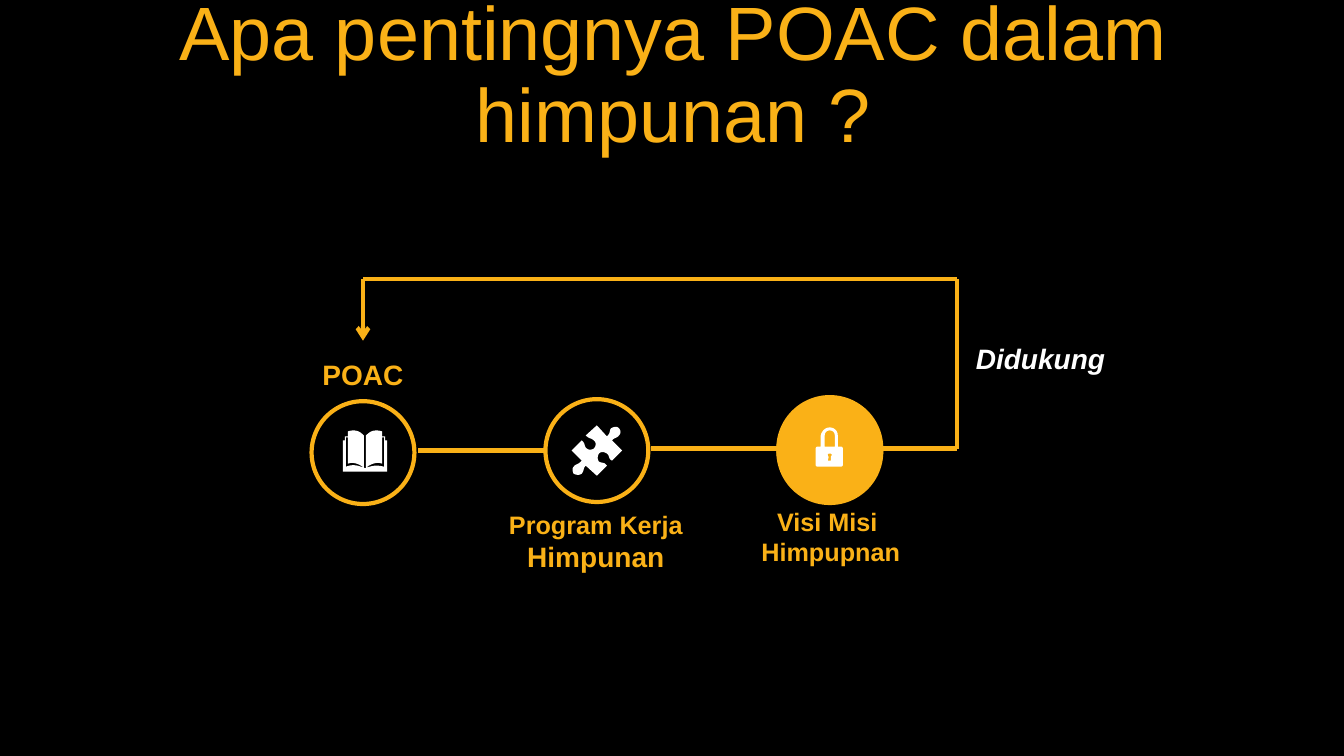
from pptx import Presentation
from pptx.dml.color import RGBColor
from pptx.enum.shapes import MSO_CONNECTOR, MSO_SHAPE
from pptx.enum.text import MSO_ANCHOR, PP_ALIGN
from pptx.oxml.ns import qn
from pptx.util import Inches, Pt
from lxml.etree import SubElement

COLORS = {"back": "000000", "gold": "FAB117", "white": "FFFFFF"}
STEPS = 6

PUZZLE = """M 6.14 4.25 C 6.16 4.27 6.16 4.3 6.14 4.32 C 6.12 4.35 6.09 4.34 6.07 4.37
L 6.17 4.47 L 6.07 4.57 C 6.03 4.55 6.05 4.52 6.02 4.5 C 5.99 4.48 5.96 4.48 5.94 4.5
C 5.93 4.52 5.92 4.55 5.94 4.58 C 5.98 4.6 5.99 4.58 6.02 4.62 L 5.92 4.72 L 5.81 4.62
C 5.78 4.65 5.8 4.66 5.77 4.7 C 5.74 4.72 5.71 4.71 5.69 4.7 C 5.68 4.68 5.67 4.65 5.69 4.63
C 5.71 4.6 5.74 4.61 5.77 4.57 L 5.67 4.47 L 5.77 4.37 C 5.81 4.4 5.79 4.43 5.82 4.45
C 5.84 4.47 5.88 4.46 5.89 4.45 C 5.91 4.43 5.92 4.39 5.89 4.37 C 5.86 4.34 5.85 4.36 5.81 4.32
L 5.92 4.22 L 6.02 4.33 C 6.06 4.29 6.04 4.28 6.06 4.25 C 6.09 4.23 6.13 4.23 6.14 4.25"""

BOOK = """M 3.61 4.64 C 3.61 4.64 3.63 4.65 3.63 4.64 C 3.7 4.62 3.73 4.61 3.81 4.63
L 3.81 4.34 L 3.79 4.34 L 3.79 4.6 C 3.74 4.58 3.68 4.6 3.63 4.64 L 3.63 4.32
C 3.66 4.29 3.69 4.27 3.73 4.27 C 3.74 4.27 3.76 4.27 3.79 4.28 L 3.79 4.33 L 3.82 4.33
L 3.82 4.37 L 3.84 4.37 L 3.84 4.68 L 3.4 4.68 L 3.4 4.37 L 3.42 4.37 L 3.42 4.33 L 3.45 4.33
L 3.45 4.28 C 3.48 4.27 3.5 4.27 3.51 4.27 C 3.55 4.27 3.58 4.29 3.61 4.32 L 3.61 4.64
C 3.56 4.6 3.5 4.58 3.45 4.6 L 3.45 4.34 L 3.43 4.34 L 3.43 4.63 C 3.51 4.6 3.55 4.62 3.61 4.64"""

LOCK = """M 8.23 4.5 C 8.22 4.5 8.21 4.5 8.21 4.51 C 8.21 4.52 8.21 4.53 8.22 4.53
L 8.21 4.57 L 8.24 4.57 L 8.24 4.53 C 8.24 4.53 8.25 4.52 8.25 4.51 C 8.25 4.5 8.24 4.5 8.23 4.5
M 8.23 4.27 C 8.2 4.27 8.18 4.29 8.18 4.32 L 8.18 4.43 L 8.28 4.43 L 8.28 4.32
C 8.28 4.29 8.26 4.27 8.23 4.27
M 8.23 4.24 C 8.27 4.24 8.31 4.27 8.31 4.32 L 8.31 4.43 L 8.34 4.43 C 8.35 4.43 8.36 4.44 8.36 4.45
L 8.36 4.61 C 8.36 4.62 8.35 4.63 8.34 4.63 L 8.11 4.63 C 8.1 4.63 8.09 4.62 8.09 4.61 L 8.09 4.45
C 8.09 4.44 8.1 4.43 8.11 4.43 L 8.14 4.43 L 8.14 4.32 C 8.15 4.28 8.18 4.24 8.23 4.24"""


def color(name):
    return RGBColor.from_string(COLORS[name])


def trace(path):
    """Turn a path of M, L and C marks into outlines of points in EMU."""
    outlines = []
    for part in path.replace("M", "|M").replace("L", "|L").replace("C", "|C").split("|")[1:]:
        mark, *nums = part.split()
        nums = [float(num) for num in nums]
        points = list(zip(nums[::2], nums[1::2]))
        if mark == "M":
            outlines.append(points)
        elif mark == "L":
            outlines[-1] += points
        else:
            curve = [outlines[-1][-1]] + points
            for step in range(1, STEPS + 1):
                t = step / STEPS
                parts = ((1 - t) ** 3, 3 * t * (1 - t) ** 2, 3 * t * t * (1 - t), t ** 3)
                outlines[-1].append(tuple(
                    sum(w * point[axis] for w, point in zip(parts, curve)) for axis in (0, 1)))
    return [[(Inches(x), Inches(y)) for x, y in points] for points in outlines]


class Board:
    font = "Arial"
    width = Pt(3)

    def __init__(self, slide):
        self.slide = slide
        self.shapes = slide.shapes
        slide.background.fill.solid()
        slide.background.fill.fore_color.rgb = color("back")

    def text(self, left, top, width, height, lines, size, tint="gold", bold=True, italic=False):
        """Add centred text; each line is a list of (words, own size or None)."""
        box = self.shapes.add_textbox(Inches(left), Inches(top), Inches(width), Inches(height))
        frame = box.text_frame
        frame.word_wrap = True
        frame.vertical_anchor = MSO_ANCHOR.MIDDLE
        for index, runs in enumerate(lines):
            para = frame.add_paragraph() if index else frame.paragraphs[0]
            para.alignment = PP_ALIGN.CENTER
            font = para.font
            font.name, font.size, font.bold, font.italic = self.font, Pt(size), bold, italic
            font.color.rgb = color(tint)
            for words, own in runs:
                run = para.add_run()
                run.text = words
                if own:
                    run.font.size = Pt(own)
        return frame

    def ring(self, left, top, filled=False):
        side = Inches(1.02)
        ring = self.shapes.add_shape(MSO_SHAPE.OVAL, Inches(left), Inches(top), side, side)
        ring.shadow.inherit = False
        if filled:
            ring.fill.solid()
            ring.fill.fore_color.rgb = color("gold")
        else:
            ring.fill.background()
        ring.line.color.rgb = color("gold")
        ring.line.width = self.width

    def line(self, start, end, arrow=False):
        """Draw a straight line, with an open arrow at its end if asked."""
        ends = [Inches(value) for value in (*start, *end)]
        line = self.shapes.add_connector(MSO_CONNECTOR.STRAIGHT, *ends)
        line.line.color.rgb = color("gold")
        line.line.width = self.width
        props = line._element.spPr
        if arrow:
            SubElement(props.find(qn("a:ln")), qn("a:tailEnd"), type="arrow")
        SubElement(props, qn("a:effectLst"))

    def icon(self, path):
        first, *others = trace(path)
        pen = self.shapes.build_freeform(*first[0], scale=1.0)
        pen.add_line_segments(first[1:], close=True)
        for points in others:
            pen.move_to(*points[0])
            pen.add_line_segments(points[1:], close=True)
        icon = pen.convert_to_shape()
        icon.shadow.inherit = False
        icon.fill.solid()
        icon.fill.fore_color.rgb = color("white")
        icon.line.fill.background()


def main():
    deck = Presentation()
    deck.slide_width, deck.slide_height = Inches(13.33), Inches(7.5)
    board = Board(deck.slides.add_slide(deck.slide_layouts[6]))

    title = board.text(0.35, 0.37, 12.66, 0.79,
                       [[("Apa pentingnya POAC dalam himpunan ?", None)]], 54, bold=False)
    title.paragraphs[0].line_spacing = 0.9
    title.paragraphs[0].space_before = Pt(10)

    for left, top in ((3.09, 3.98), (5.41, 3.96), (7.72, 3.94)):
        board.ring(left, top)
    board.ring(7.72, 3.97, filled=True)

    board.line((5.41, 4.47), (4.15, 4.47))
    board.line((7.72, 4.45), (6.46, 4.45))
    corners = [(8.74, 4.45), (9.49, 4.45), (9.49, 2.77), (3.6, 2.77), (3.6, 3.38)]
    for start, end in zip(corners, corners[1:]):
        board.line(start, end, arrow=end == corners[-1])

    board.text(2.52, 3.49, 2.16, 0.44, [[("POAC", None)]], 20)
    board.text(4.83, 5, 2.16, 0.74, [[("Program Kerja ", None), ("Himpunan", 20)]], 18)
    board.text(7.16, 4.97, 2.16, 0.71, [[("Visi Misi ", None)], [("Himpupnan", None)]], 18)
    for path in (PUZZLE, BOOK, LOCK):
        board.icon(path)
    board.text(9.24, 3.33, 2.16, 0.44, [[("Didukung", None)]], 20, "white", italic=True)

    deck.save("out.pptx")


if __name__ == "__main__":
    main()
